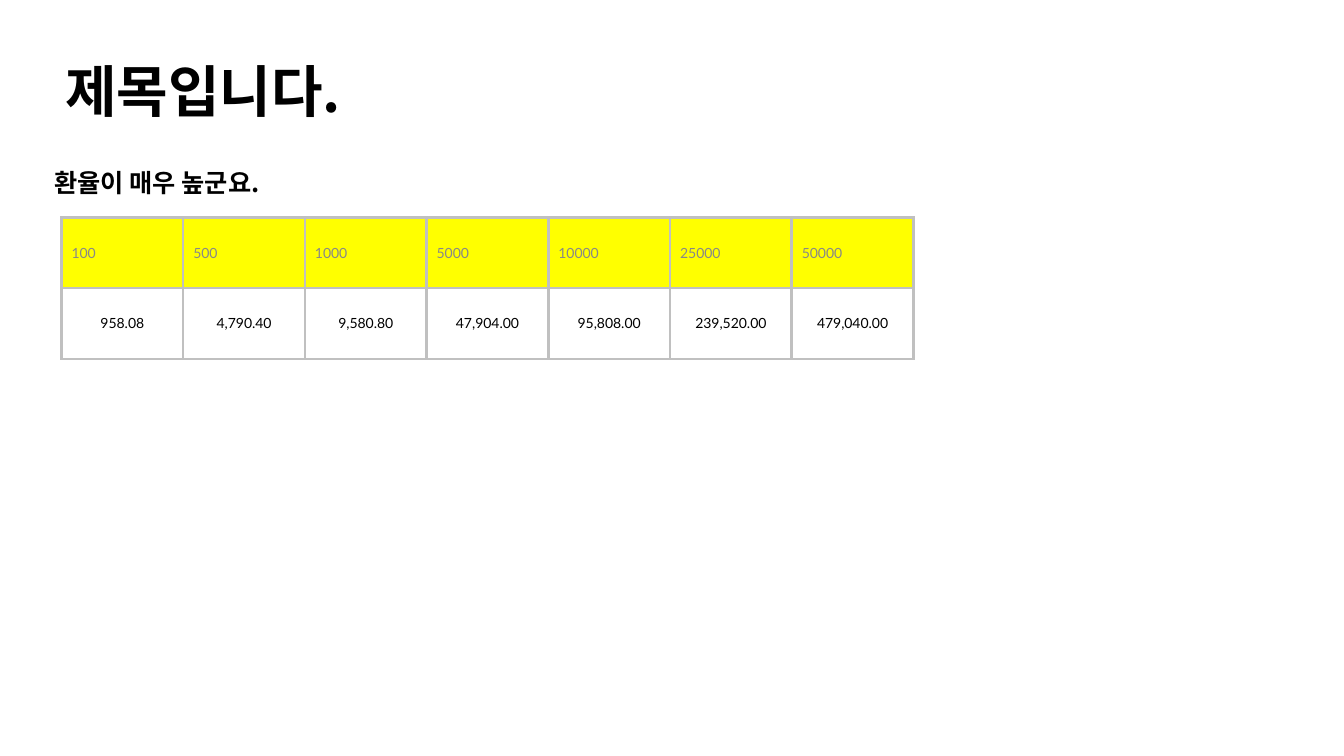
from lxml import etree
from pptx import Presentation
from pptx.dml.color import RGBColor
from pptx.enum.text import MSO_ANCHOR, PP_ALIGN
from pptx.oxml.ns import qn
from pptx.util import Inches, Pt

LEFT, CENTER = PP_ALIGN.LEFT, PP_ALIGN.CENTER
MIDDLE = MSO_ANCHOR.MIDDLE
BLACK = RGBColor(0x00, 0x00, 0x00)
GRAY = RGBColor(0x88, 0x88, 0x88)
YELLOW = RGBColor(0xFF, 0xFF, 0x00)
SILVER = RGBColor(0xC0, 0xC0, 0xC0)
HEADING_FONT, RATE_FONT = "Noto Sans CJK KR", "Lato"
WIDTH, HEIGHT = Inches(13.33), Inches(7.5)

AMOUNTS = ["100", "500", "1000\u00a0", "5000\u00a0", "10000\u00a0", "25000\u00a0", "50000\u00a0"]
RATES = ["958.08", "4,790.40", "9,580.80", "47,904.00", "95,808.00", "239,520.00", "479,040.00"]


def style(paragraph, family, size, color, bold=False):
    font = paragraph.font
    font.name, font.size, font.bold = family, Pt(size), bold
    font.color.rgb = color


def add_heading(slide, box, text, size):
    frame = slide.shapes.add_textbox(*box).text_frame
    frame.word_wrap = True
    paragraph = frame.paragraphs[0]
    paragraph.text = text
    style(paragraph, HEADING_FONT, size, BLACK, True)
    properties = paragraph.runs[0]._r.get_or_add_rPr()
    etree.SubElement(properties, qn("a:ea"), typeface=HEADING_FONT)


def add_borders(cell):
    properties = cell._tc.get_or_add_tcPr()
    for side in ("lnL", "lnR", "lnT", "lnB"):
        line = etree.SubElement(properties, qn("a:" + side), w=str(Pt(2)))
        fill = etree.SubElement(line, qn("a:solidFill"))
        etree.SubElement(fill, qn("a:srgbClr"), val=str(SILVER))


def add_rate_table(slide, box):
    rows = [(AMOUNTS, LEFT, GRAY, YELLOW), (RATES, CENTER, BLACK, None)]
    table = slide.shapes.add_table(len(rows), len(AMOUNTS), *box).table
    table.first_row = table.horz_banding = False
    for row, (values, alignment, color, fill) in enumerate(rows):
        for column, value in enumerate(values):
            cell = table.cell(row, column)
            cell.text = value
            cell.vertical_anchor = MIDDLE
            paragraph = cell.text_frame.paragraphs[0]
            paragraph.alignment = alignment
            style(paragraph, RATE_FONT, 10, color)
            add_borders(cell)
            if fill is None:
                cell.fill.background()
            else:
                cell.fill.solid()
                cell.fill.fore_color.rgb = fill


def add_exchange_slide(deck):
    slide = deck.slides.add_slide(deck.slide_layouts[6])
    add_heading(slide, (Inches(0.55), Inches(0.51), Inches(3.35), Inches(0.77)), "제목입니다.", 40)
    add_rate_table(slide, (Inches(0.61), Inches(2.16), Inches(8.45), Inches(1.4)))
    add_heading(slide, (Inches(0.44), Inches(1.61), Inches(2.46), Inches(0.4)), "환율이 매우 높군요.", 18)


deck = Presentation()
deck.slide_width, deck.slide_height = WIDTH, HEIGHT
add_exchange_slide(deck)
deck.save("out.pptx")
